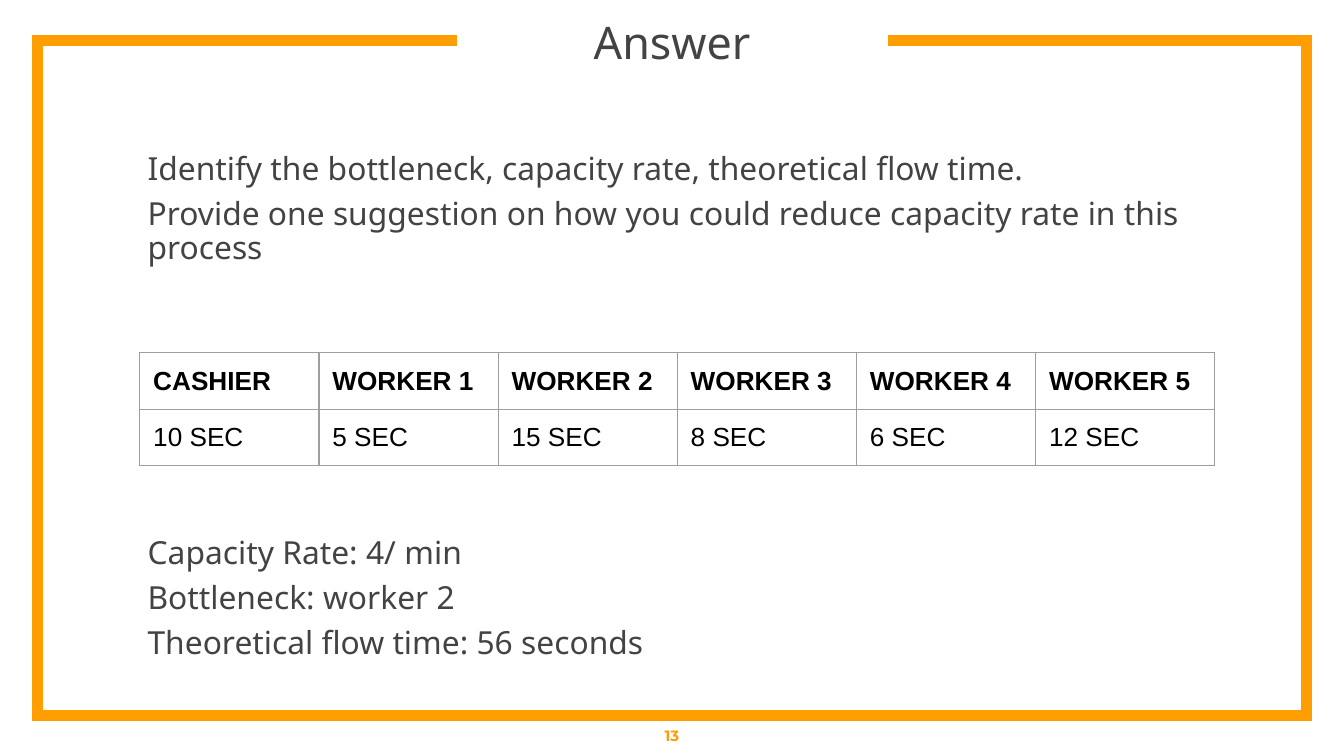
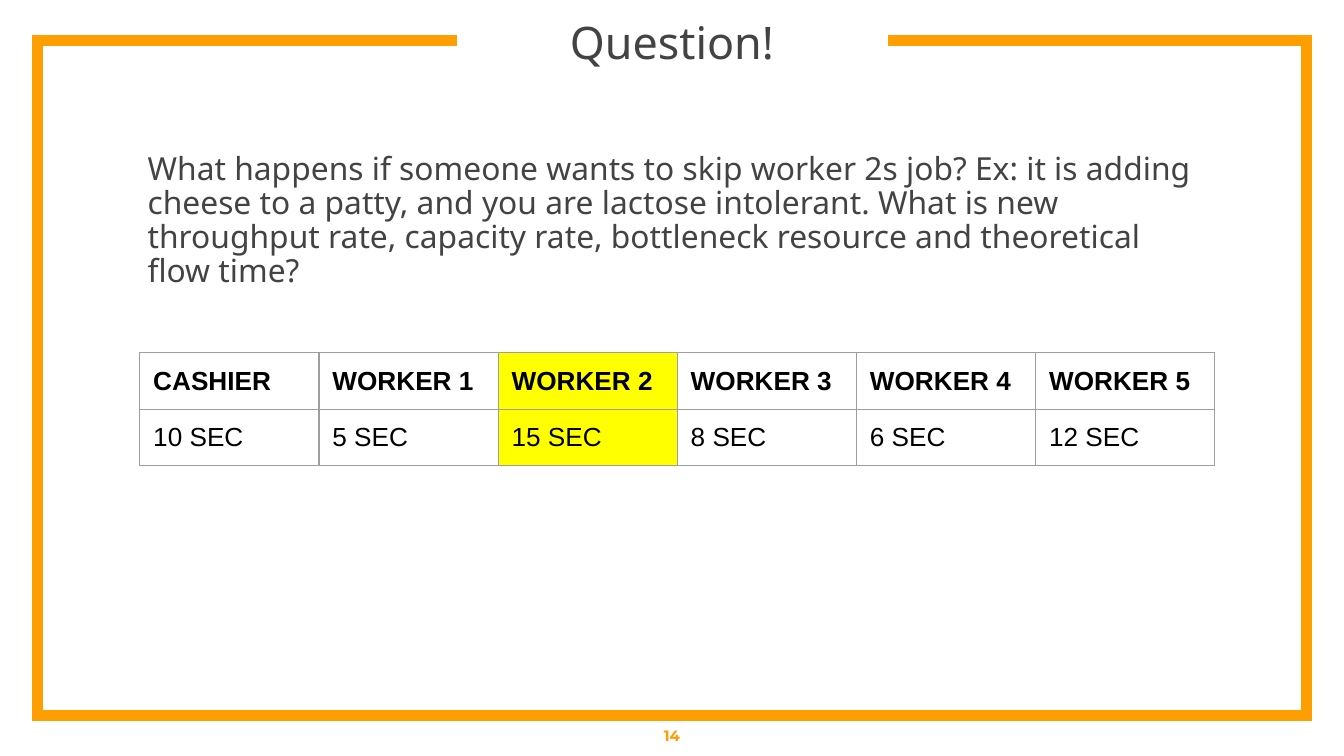
"""Build the process-capacity answer and follow-up question slides."""
from dataclasses import dataclass

from lxml.etree import SubElement
from pptx import Presentation
from pptx.dml.color import RGBColor as Color
from pptx.enum.text import MSO_ANCHOR as Anchor, MSO_AUTO_SIZE as AutoSize, PP_ALIGN as Align
from pptx.oxml.ns import qn
from pptx.util import Inches, Pt


@dataclass(frozen=True)
class Theme:
    """Colours, fonts and type sizes of the deck."""
    accent: str = "FF9E00"
    ink: str = "434343"
    table_ink: str = "000000"
    border: str = "9E9E9E"
    highlight: str = "FFFF00"
    text_font: str = "Noto Sans"
    table_font: str = "Arial"
    number_font: str = "Montserrat"
    title_size: float = 24
    body_size: float = 17
    table_size: float = 14
    number_size: float = 8
    frame_width: float = 6
    border_width: float = 0.75
    line_spacing: float = 0.89
    paragraph_gap: float = 6
    inset: float = 0.1


class Painter:
    """Draws elements on the current slide, on a grid of 100 columns and 75 rows."""

    def __init__(self, deck, theme):
        self.deck = deck
        self.theme = theme
        self.slide = None

    def columns(self, count):
        return round(self.deck.slide_width * count / 100)

    def rows(self, count):
        return round(self.deck.slide_height * count / 75)

    def area(self, left, top, width, height):
        return self.columns(left), self.rows(top), self.columns(width), self.rows(height)

    def style(self, para, font, size, color, bold=False):
        for span in para.runs:
            span.font.name = font
            span.font.size = Pt(size)
            span.font.bold = bold
            span.font.color.rgb = Color.from_string(color)

    def prepare(self, text_frame, inset, anchor=Anchor.TOP):
        text_frame.word_wrap = True
        text_frame.auto_size = AutoSize.NONE
        text_frame.vertical_anchor = anchor
        text_frame.margin_left = text_frame.margin_right = Inches(inset)
        text_frame.margin_top = text_frame.margin_bottom = Inches(inset)

    def page(self, title, number):
        self.slide = self.deck.slides.add_slide(self.deck.slide_layouts[5])
        self.frame()
        self.title(title)
        self.number(number)

    def frame(self):
        corners = [(34, 4), (2.8, 4), (2.8, 71), (97.2, 71), (97.2, 4), (66.1, 4)]
        points = [(self.columns(x), self.rows(y)) for x, y in corners]
        builder = self.slide.shapes.build_freeform(*points[0])
        builder.add_line_segments(points[1:], close=False)
        outline = builder.convert_to_shape()
        outline.shadow.inherit = False
        outline.fill.background()
        outline.line.color.rgb = Color.from_string(self.theme.accent)
        outline.line.width = Pt(self.theme.frame_width)
        SubElement(outline.line._get_or_add_ln(), qn("a:miter"), lim="800000")

    def title(self, text):
        box = self.slide.shapes.title
        box.left, box.top, box.width, box.height = self.area(35.5, 1.5, 29, 5.2)
        self.prepare(box.text_frame, 0, Anchor.MIDDLE)
        box.text_frame.text = text
        para = box.text_frame.paragraphs[0]
        para.alignment = Align.CENTER
        self.style(para, self.theme.text_font, self.theme.title_size, self.theme.ink)

    def number(self, value):
        box = self.slide.shapes.add_textbox(*self.area(0, 71, 100, 4))
        self.prepare(box.text_frame, self.theme.inset, Anchor.MIDDLE)
        box.text_frame.text = str(value)
        para = box.text_frame.paragraphs[0]
        para.alignment = Align.CENTER
        self.style(para, self.theme.number_font, self.theme.number_size,
                   self.theme.accent, bold=True)

    def body(self, lines, top, height):
        box = self.slide.shapes.add_textbox(*self.area(10, top, 80, height))
        self.prepare(box.text_frame, self.theme.inset)
        box.text_frame.text = "\n".join(lines)
        for index, para in enumerate(box.text_frame.paragraphs):
            para.line_spacing = self.theme.line_spacing
            para.space_before = Pt(self.theme.paragraph_gap if index else 0)
            self.style(para, self.theme.text_font, self.theme.body_size, self.theme.ink)

    def table(self, records, marked_column=None):
        row_count, column_count = len(records), len(records[0])
        area = self.area(10.4, 35, 80, 5.6 * row_count)
        table = self.slide.shapes.add_table(row_count, column_count, *area).table
        table.first_row = table.horz_banding = False
        for row, record in enumerate(records):
            for column, text in enumerate(record):
                self.cell(table.cell(row, column), text, row == 0, column == marked_column)

    def cell(self, cell, text, bold, marked):
        cell.margin_left = cell.margin_right = Inches(self.theme.inset)
        cell.margin_top = cell.margin_bottom = Inches(self.theme.inset)
        cell.text_frame.text = text
        self.style(cell.text_frame.paragraphs[0], self.theme.table_font,
                   self.theme.table_size, self.theme.table_ink, bold)
        if marked:
            cell.fill.solid()
            cell.fill.fore_color.rgb = Color.from_string(self.theme.highlight)
        else:
            cell.fill.background()
        properties = cell._tc.get_or_add_tcPr()
        for index, side in enumerate(("lnL", "lnR", "lnT", "lnB")):
            edge = SubElement(properties, qn(f"a:{side}"), w=str(Pt(self.theme.border_width)))
            fill = SubElement(edge, qn("a:solidFill"))
            SubElement(fill, qn("a:srgbClr"), val=self.theme.border)
            properties.insert(index, edge)


STATION_TIMES = [
    ["CASHIER", "WORKER 1", "WORKER 2", "WORKER 3", "WORKER 4", "WORKER 5"],
    ["10 SEC", "5 SEC", "15 SEC", "8 SEC", "6 SEC", "12 SEC"],
]


def main():
    deck = Presentation()
    deck.slide_width, deck.slide_height = Inches(10), Inches(5.625)
    painter = Painter(deck, Theme())

    painter.page("Answer", 13)
    painter.body([
        "Identify the bottleneck, capacity rate, theoretical flow time.",
        "Provide one suggestion on how you could reduce capacity rate in this process",
    ], top=13.9, height=19)
    painter.table(STATION_TIMES)
    painter.body([
        "Capacity Rate: 4/ min",
        "Bottleneck: worker 2",
        "Theoretical flow time: 56 seconds",
    ], top=52, height=17)

    painter.page("Question!", 14)
    painter.body([
        "What happens if someone wants to skip worker 2s job? Ex: it is adding cheese "
        "to a patty, and you are lactose intolerant. What is new throughput rate, "
        "capacity rate, bottleneck resource and theoretical flow time?",
    ], top=13.9, height=19)
    painter.table(STATION_TIMES, marked_column=2)

    deck.save("out.pptx")


if __name__ == "__main__":
    main()
